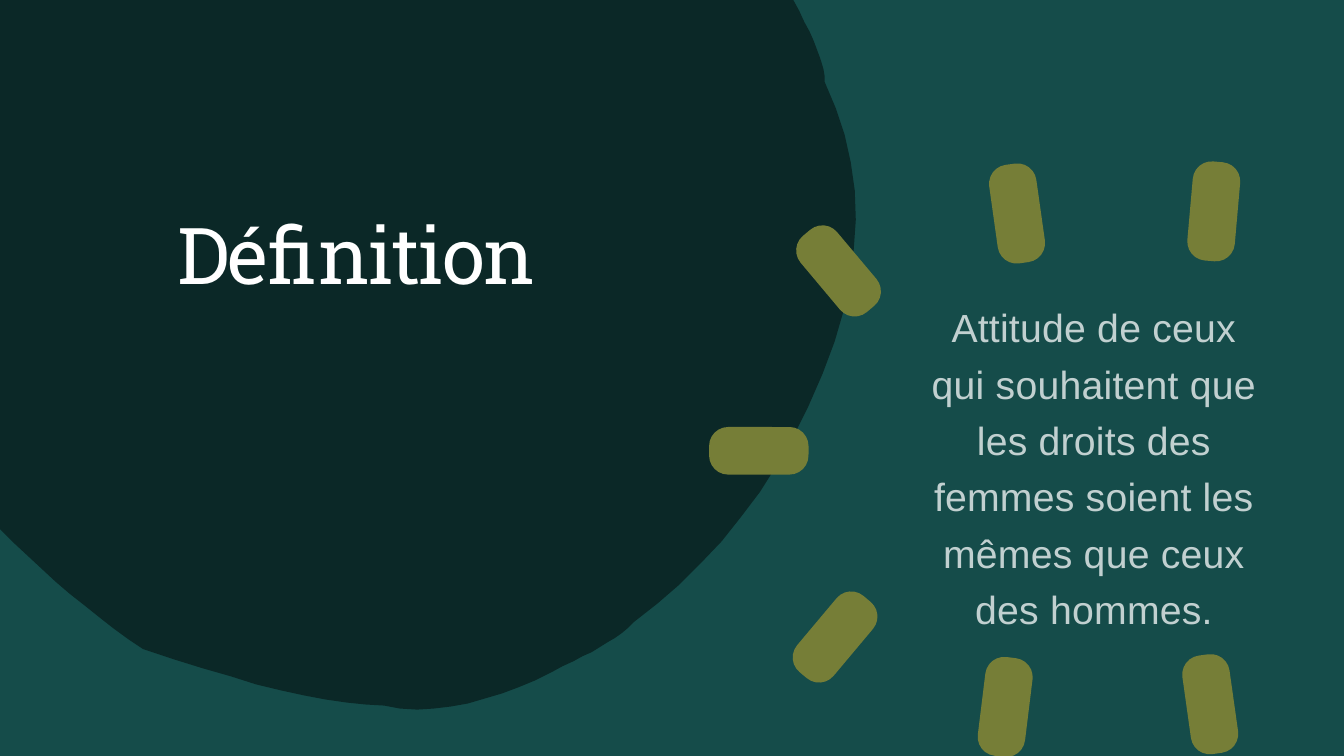
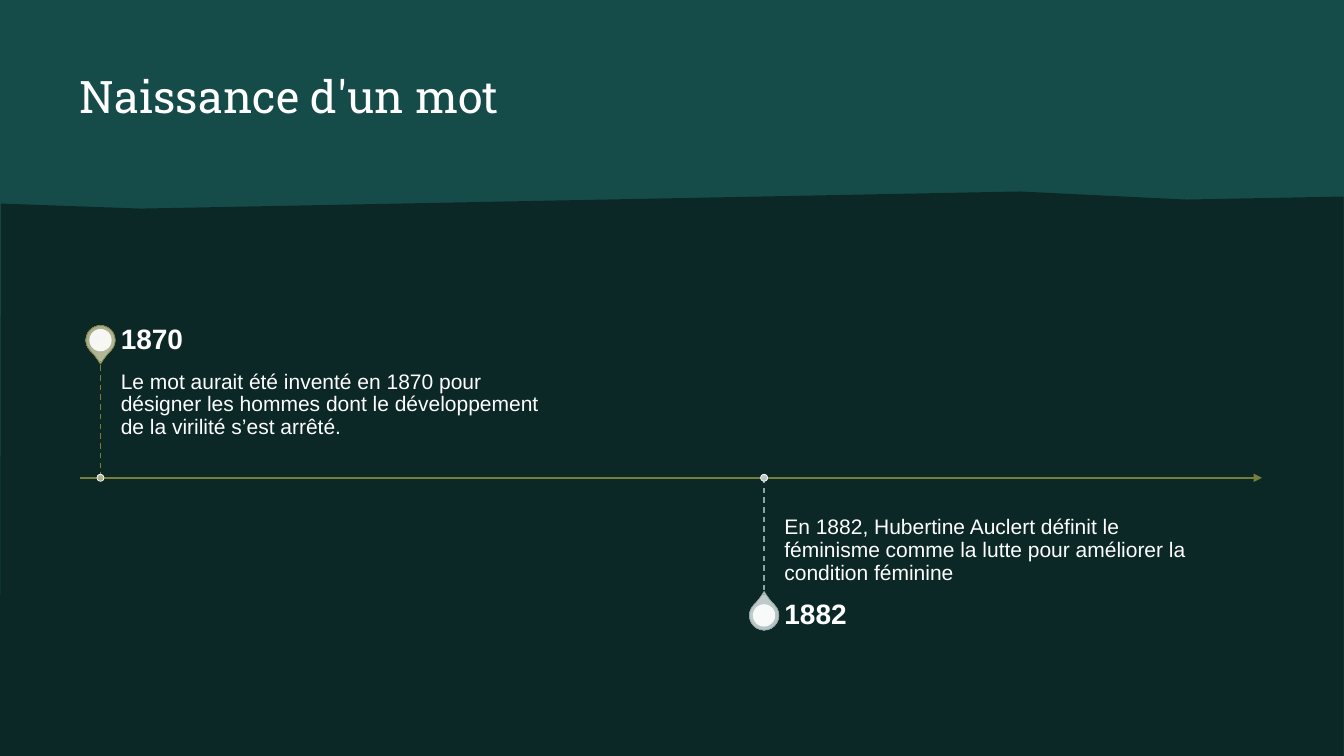
from dataclasses import dataclass
from typing import NamedTuple

from lxml import etree
from pptx import Presentation
from pptx import util as u
from pptx.dml.color import RGBColor
from pptx.enum import dml, shapes, text
from pptx.oxml import ns

Pt = u.Pt
SHAPE = shapes.MSO_SHAPE
ANCHOR = text.MSO_ANCHOR
ALIGN = text.PP_ALIGN


@dataclass(frozen=True)
class Theme:
    dark: str = "0B2827"
    teal: str = "154C4A"
    olive: str = "767E37"
    gray: str = "8FA3A3"
    pale: str = "C1D0D0"
    white: str = "FFFFFF"
    olive_pin: tuple[str, str] = ("B9BDA2", "A2A782")
    gray_pin: tuple[str, str] = ("C6CFCF", "B1BFBF")
    title_font: str = "Roboto Slab"
    body_font: str = "Arial"
    cover_size: float = 56
    title_size: float = 32
    body_size: float = 28
    year_size: float = 20
    note_size: float = 15


class Box(NamedTuple):
    left: float
    top: float
    width: float
    height: float

    @classmethod
    def around(cls, x: float, y: float, width: float, height: float) -> "Box":
        return cls(x - width / 2, y - height / 2, width, height)

    def emu(self) -> list[u.Length]:
        return [Pt(v) for v in self]


class Style(NamedTuple):
    size: float
    color: str
    font: str
    bold: bool = False
    align: ALIGN = ALIGN.LEFT
    line_spacing: float = 1.0
    tracking: float = 0


class Ray(NamedTuple):
    x: float
    y: float
    angle: float


@dataclass(frozen=True)
class Milestone:
    x: float
    side: int  # -1 above the axis, 1 below
    year: str
    note: str
    line: str
    pin: tuple[str, str]


T = Theme()
WIDTH, HEIGHT = 960, 540
UNIT = Pt(0.72)  # one grid step of the outlines
CURVE_STEPS = 10
RAY_WIDTH, RAY_LENGTH = 34, 71
AXIS_Y, AXIS_LEFT, AXIS_RIGHT = 341.3, 57, 901.5
STEM, PIN_REACH = 83.5, 98.3

COVER_TITLE = Style(T.cover_size, T.white, T.title_font, align=ALIGN.CENTER, tracking=-1)
TITLE = Style(T.title_size, T.white, T.title_font)
BODY = Style(T.body_size, T.pale, T.body_font, align=ALIGN.CENTER,
             line_spacing=1.2, tracking=0.2)
YEAR = Style(T.year_size, T.white, T.body_font, bold=True, line_spacing=0.9)
NOTE = Style(T.note_size, T.white, T.body_font, line_spacing=0.9)

# Outlines: a start point, then line ends (2 numbers) or Bézier curves (6 numbers).
Outline = list[tuple[float, ...]]

BLOB: Outline = [
    (0, 0), (787, 0), (807, 39, 818, 62, 818, 81),
    (860, 167, 859, 264, 816, 371), (773, 479, 706, 560, 629, 617),
    (609, 636, 586, 648, 547, 667), (493, 693, 435, 712, 381, 700),
    (323, 699, 246, 679, 142, 644), (92, 610, 44, 570, 0, 525),
]
GROUND: Outline = [(1, 202), (140, 207), (1012, 190), (1177, 198), (1333, 195),
                   (1333, 750), (0, 750)]
RAYS = [
    Ray(864.5, 503, -8), Ray(542, 322, 90), Ray(867, 151, 5), Ray(726.5, 152.5, -8),
    Ray(596.5, 455, 40), Ray(718, 505, 7), Ray(599, 193.5, -40),
]

MILESTONES = [
    Milestone(71.8, -1, "1870",
              "Le mot aurait été inventé en 1870 pour désigner les hommes dont le "
              "développement de la virilité s’est arrêté.", T.olive, T.olive_pin),
    Milestone(545.8, 1, "1882",
              "En 1882, Hubertine Auclert définit le féminisme comme la lutte pour "
              "améliorer la condition féminine", T.gray, T.gray_pin),
]


def rgb(color: str) -> RGBColor:
    return RGBColor.from_string(color)


def flatten(outline: Outline) -> list[tuple[float, float]]:
    """Turn the lines and curves of an outline into polygon points."""
    points = [outline[0]]
    for seg in outline[1:]:
        if len(seg) == 2:
            points.append(seg)
            continue
        ctrl = [points[-1], seg[:2], seg[2:4], seg[4:]]
        for i in range(1, CURVE_STEPS + 1):
            t = i / CURVE_STEPS
            weights = ((1 - t) ** 3, 3 * t * (1 - t) ** 2, 3 * t * t * (1 - t), t ** 3)
            points.append(tuple(sum(w * c[k] for w, c in zip(weights, ctrl))
                                for k in (0, 1)))
    return points


def paint(sp, color: str) -> None:
    sp.shadow.inherit = False
    sp.fill.solid()
    sp.fill.fore_color.rgb = rgb(color)
    sp.line.fill.background()


def add_outline(s, outline: Outline, color: str) -> None:
    first, *rest = flatten(outline)
    builder = s.shapes.build_freeform(*first, scale=UNIT)
    builder.add_line_segments(rest, close=True)
    paint(builder.convert_to_shape(), color)


def add_ray(s, ray: Ray) -> None:
    box = Box.around(ray.x, ray.y, RAY_WIDTH, RAY_LENGTH)
    sp = s.shapes.add_shape(SHAPE.ROUNDED_RECTANGLE, *box.emu())
    sp.adjustments[0] = 0.4
    sp.rotation = ray.angle
    paint(sp, T.olive)


def add_text(s, box: Box, content: str, style: Style, anchor: ANCHOR = ANCHOR.TOP,
             insets: tuple[float, float, float, float] = (0, 0, 0, 0)) -> None:
    tf = s.shapes.add_textbox(*box.emu()).text_frame
    tf.word_wrap = True
    tf.vertical_anchor = anchor
    tf.margin_left, tf.margin_top, tf.margin_right, tf.margin_bottom = map(Pt, insets)
    p = tf.paragraphs[0]
    p.text = content
    p.alignment = style.align
    p.line_spacing = style.line_spacing
    f = p.font
    f.name, f.size, f.bold = style.font, Pt(style.size), style.bold
    f.color.rgb = rgb(style.color)
    if style.tracking:
        f._rPr.set("spc", str(round(style.tracking * 100)))


def add_line(s, start: tuple[float, float], end: tuple[float, float], color: str,
             width: float, dashed: bool = False, arrow: bool = False) -> None:
    line = s.shapes.add_connector(shapes.MSO_CONNECTOR.STRAIGHT,
                                  *map(Pt, start), *map(Pt, end))
    line.line.color.rgb = rgb(color)
    line.line.width = Pt(width)
    if dashed:
        line.line.dash_style = dml.MSO_LINE.DASH
    if arrow:
        etree.SubElement(line.line._get_or_add_ln(), ns.qn("a:tailEnd"), type="triangle")
    etree.SubElement(line._element.spPr, ns.qn("a:effectLst"))


def add_bead(s, kind: SHAPE, box: Box, colors: tuple[str, str], outline: str):
    """Add a small gradient shape with a thin outline."""
    sp = s.shapes.add_shape(kind, *box.emu())
    sp.shadow.inherit = False
    sp.fill.gradient()
    sp.fill.gradient_angle = 270
    for stop, color in zip(sp.fill.gradient_stops, colors):
        stop.color.rgb = rgb(color)
    sp.line.color.rgb = rgb(outline)
    sp.line.width = Pt(0.5)
    return sp


def add_milestone(s, m: Milestone) -> None:
    pin_y = AXIS_Y + m.side * PIN_REACH
    above = m.side < 0
    pin = add_bead(s, SHAPE.TEAR, Box.around(m.x, pin_y, 21, 21), m.pin, m.line)
    pin.adjustments[0] = 1.15
    pin.rotation = 135 if above else 315
    core = s.shapes.add_shape(SHAPE.OVAL, *Box.around(m.x, pin_y, 16, 16).emu())
    paint(core, T.white)
    color = core._element.spPr.find(".//" + ns.qn("a:srgbClr"))
    etree.SubElement(color, ns.qn("a:alpha"), val="90000")

    left, width, year_height = m.x + 14.5, 307.5, 29.5
    note_top = AXIS_Y - STEM if above else AXIS_Y
    add_text(s, Box(left, note_top, width, STEM), m.note, NOTE,
             ANCHOR.TOP if above else ANCHOR.BOTTOM,
             (0, 7.2, 0, 11.5) if above else (0, 11.5, 7.2, 7.2))
    add_text(s, Box(left, pin_y - year_height / 2, width, year_height), m.year, YEAR,
             ANCHOR.MIDDLE, (0, 0, 10, 0))
    add_line(s, (m.x, AXIS_Y), (m.x, AXIS_Y + m.side * STEM), m.line, 1, dashed=True)
    add_bead(s, SHAPE.OVAL, Box.around(m.x, AXIS_Y, 5, 5), m.pin, T.white)


def add_slide(prs):
    """Add a blank slide with the shared dark background and teal panel."""
    s = prs.slides.add_slide(prs.slide_layouts[6])
    s.background.fill.solid()
    s.background.fill.fore_color.rgb = rgb(T.dark)
    paint(s.shapes.add_shape(SHAPE.RECTANGLE, *Box(0, 0, WIDTH, HEIGHT).emu()), T.teal)
    return s


def definition_slide(prs) -> None:
    s = add_slide(prs)
    add_outline(s, BLOB, T.dark)
    add_text(s, Box(57, 57, 395, 247), "Définition", COVER_TITLE, ANCHOR.MIDDLE)
    for ray in RAYS:
        add_ray(s, ray)
    add_text(s, Box(659, 207.5, 245, 247),
             "Attitude de ceux qui souhaitent que les droits des femmes soient "
             "les mêmes que ceux des hommes.", BODY, ANCHOR.MIDDLE)


def timeline_slide(prs) -> None:
    s = add_slide(prs)
    add_text(s, Box(57, 49, 844.5, 54), "Naissance d'un mot", TITLE)
    add_outline(s, GROUND, T.dark)
    add_line(s, (AXIS_LEFT, AXIS_Y), (AXIS_RIGHT, AXIS_Y), T.olive, 1.5, arrow=True)
    for m in MILESTONES:
        add_milestone(s, m)


def main() -> None:
    prs = Presentation()
    prs.slide_width, prs.slide_height = Pt(WIDTH), Pt(HEIGHT)
    definition_slide(prs)
    timeline_slide(prs)
    prs.save("out.pptx")


if __name__ == "__main__":
    main()
